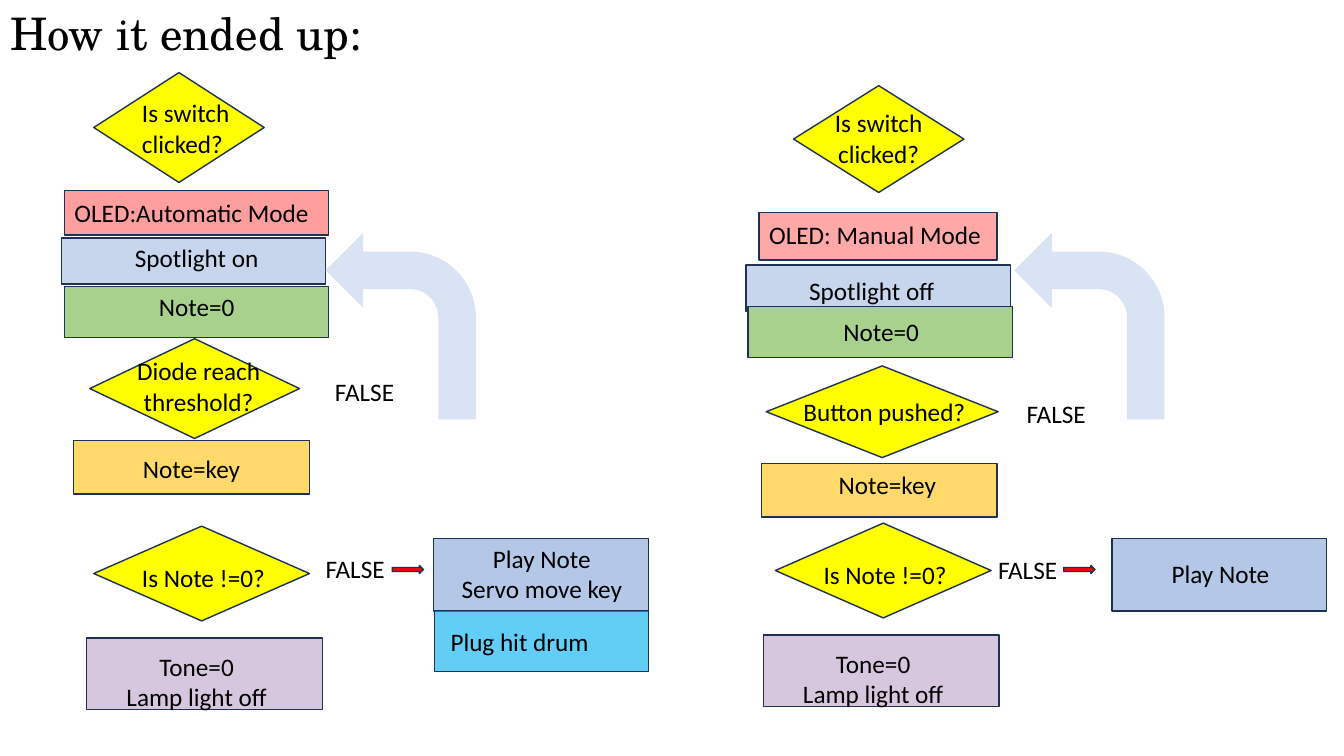
from dataclasses import dataclass

import pptx
import pptx.util
from lxml import etree
from pptx.dml.color import RGBColor
from pptx.enum.shapes import MSO_SHAPE
from pptx.enum.text import MSO_ANCHOR, PP_ALIGN
from pptx.oxml.ns import qn
from pptx.util import Inches, Pt


@dataclass(frozen=True)
class Theme:
    title_font: str = "TeX Gyre Schola"
    body_font: str = "Calibri"
    title_size: int = 32
    body_size: int = 18
    ink: str = "000000"
    outline: str = "1E3256"
    loop: str = "DAE3F3"
    arrow: str = "FF0000"
    decision: str = "FFFF00"
    reset: str = "A9D18E"
    play: str = "B4C7E7"
    # Translucent fills: colour and opacity in percent
    automatic: tuple = ("FF0000", 38)
    manual: tuple = ("FF0000", 34)
    spotlight: tuple = ("4472C4", 29)
    key: tuple = ("FFC000", 58)
    tone: tuple = ("B495C1", 52)
    drum: tuple = ("00B0F0", 61)


T = Theme()
RECT, DIAMOND = MSO_SHAPE.RECTANGLE, MSO_SHAPE.DIAMOND
LEFT, CENTER = PP_ALIGN.LEFT, PP_ALIGN.CENTER

prs = pptx.Presentation()
prs.slide_width, prs.slide_height = Inches(13.33), Inches(7.5)
s = prs.slides.add_slide(prs.slide_layouts[5])


def add_box(kind, at, fill, outlined=True):
    """Add a filled shape; fill is a colour or a (colour, opacity) pair."""
    sp = s.shapes.add_shape(kind, *map(Inches, at))
    sp.shadow.inherit = False
    color, opacity = (fill, 100) if isinstance(fill, str) else fill
    sp.fill.solid()
    sp.fill.fore_color.rgb = RGBColor.from_string(color)
    if opacity < 100:
        clr = sp._element.spPr.find(qn("a:solidFill"))[0]
        etree.SubElement(clr, qn("a:alpha")).set("val", str(opacity * 1000))
    if outlined:
        sp.line.color.rgb = RGBColor.from_string(T.outline)
        sp.line.width = Pt(1)
    else:
        sp.line.fill.background()
    return sp


def write(sp, text, font, size, align):
    tf = sp.text_frame
    tf.word_wrap = True
    tf.vertical_anchor = MSO_ANCHOR.TOP
    tf.text = text
    for p in tf.paragraphs:
        p.alignment = align
        p.line_spacing = 1.0
        for r in p.runs:
            r.font.name, r.font.size = font, Pt(size)
            r.font.color.rgb = RGBColor.from_string(T.ink)


title = s.shapes.title
title.left, title.top, title.width, title.height = map(Inches, (0, 0.01, 4.31, 0.64))
write(title, "How it ended up:", T.title_font, T.title_size, LEFT)

# Boxes from back to front: shape, place, fill
boxes = [
    # Automatic mode
    (DIAMOND, (0.93, 0.72, 1.69, 1.09), T.decision),
    (RECT, (0.64, 1.89, 2.62, 0.44), T.automatic),
    (RECT, (0.61, 2.36, 2.62, 0.46), T.spotlight),
    (RECT, (0.64, 2.84, 2.62, 0.51), T.reset),
    (DIAMOND, (0.89, 3.36, 2.08, 0.99), T.decision),
    (RECT, (0.73, 4.37, 2.34, 0.53), T.key),
    (DIAMOND, (0.93, 5.22, 2.14, 0.94), T.decision),
    (RECT, (0.86, 6.33, 2.34, 0.71), T.tone),
    (RECT, (4.3, 5.34, 2.13, 0.72), T.play),
    (RECT, (4.31, 6.06, 2.12, 0.6), T.drum),
    # Manual mode
    (DIAMOND, (7.87, 0.85, 1.69, 1.06), T.decision),
    (RECT, (7.53, 2.11, 2.36, 0.47), T.manual),
    (RECT, (7.4, 2.63, 2.62, 0.46), T.spotlight),
    (RECT, (7.42, 3.04, 2.62, 0.51), T.reset),
    (DIAMOND, (7.6, 3.63, 2.3, 0.91), T.decision),
    (RECT, (7.55, 4.6, 2.34, 0.53), T.key),
    (DIAMOND, (7.69, 5.19, 2.14, 0.94), T.decision),
    (RECT, (7.57, 6.3, 2.34, 0.71), T.tone),
    (RECT, (11.03, 5.34, 2.13, 0.72), T.play),
]

# Labels: text, place, alignment
labels = [
    # Automatic mode
    ("Spotlight on", (0.64, 2.35, 2.62, 0.4), CENTER),
    ("Is switch clicked?", (1.31, 0.92, 1.16, 0.71), LEFT),
    ("OLED:Automatic Mode", (0.64, 1.91, 2.62, 0.4), LEFT),
    ("Note=0", (0.64, 2.84, 2.62, 0.4), CENTER),
    ("Diode reach threshold?", (1.06, 3.48, 1.82, 0.71), CENTER),
    ("FALSE", (3.02, 3.68, 1.19, 0.4), CENTER),
    ("Note=key", (0.93, 4.45, 1.94, 0.4), CENTER),
    ("Is Note !=0?", (1.31, 5.53, 1.44, 0.4), LEFT),
    ("FALSE", (3.13, 5.44, 1.38, 0.4), LEFT),
    ("Tone=0\nLamp light off", (1.04, 6.41, 1.82, 0.71), CENTER),
    ("Play Note\nServo move key", (4.31, 5.34, 2.13, 0.71), CENTER),
    ("Plug hit drum", (4.37, 6.16, 2.16, 0.4), LEFT),
    # Manual mode
    ("Is switch clicked?", (8.05, 1.02, 1.33, 0.71), CENTER),
    ("OLED: Manual Mode", (7.53, 2.13, 2.36, 0.4), LEFT),
    ("Spotlight off", (7.73, 2.68, 1.83, 0.4), CENTER),
    ("Note=0", (7.43, 3.09, 2.62, 0.4), CENTER),
    ("Button pushed?", (7.87, 3.88, 1.84, 0.4), LEFT),
    ("FALSE", (9.88, 3.9, 1.19, 0.4), CENTER),
    ("Note=key", (8.22, 4.61, 1.99, 0.4), LEFT),
    ("Is Note !=0?", (8.07, 5.5, 1.44, 0.4), LEFT),
    ("FALSE", (9.8, 5.45, 1.38, 0.4), LEFT),
    ("Tone=0\nLamp light off", (7.75, 6.38, 1.82, 0.71), CENTER),
    ("Play Note", (11.04, 5.49, 2.13, 0.4), CENTER),
]

for kind, at, fill in boxes:
    add_box(kind, at, fill)

for text, at, align in labels:
    tb = s.shapes.add_textbox(*map(Inches, at))
    write(tb, text, T.body_font, T.body_size, align)

for loop_left, arrow_left in ((3.23, 3.89), (10.06, 10.55)):
    add_box(MSO_SHAPE.RIGHT_ARROW, (arrow_left, 5.61, 0.31, 0.08), T.arrow)
    loop = add_box(MSO_SHAPE.BENT_ARROW, (loop_left, 2.31, 1.49, 1.85), T.loop, outlined=False)
    loop._element.spPr.find(qn("a:xfrm")).set("flipH", "1")

prs.save("out.pptx")
